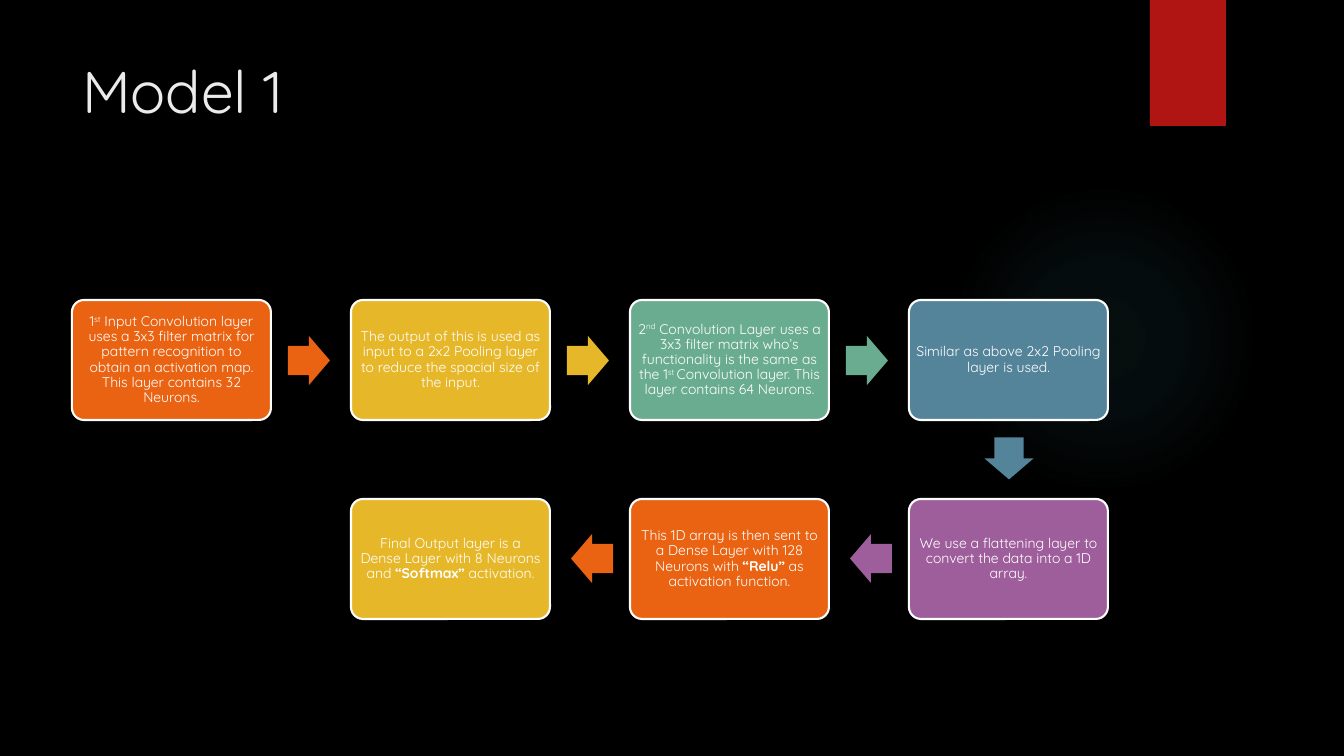
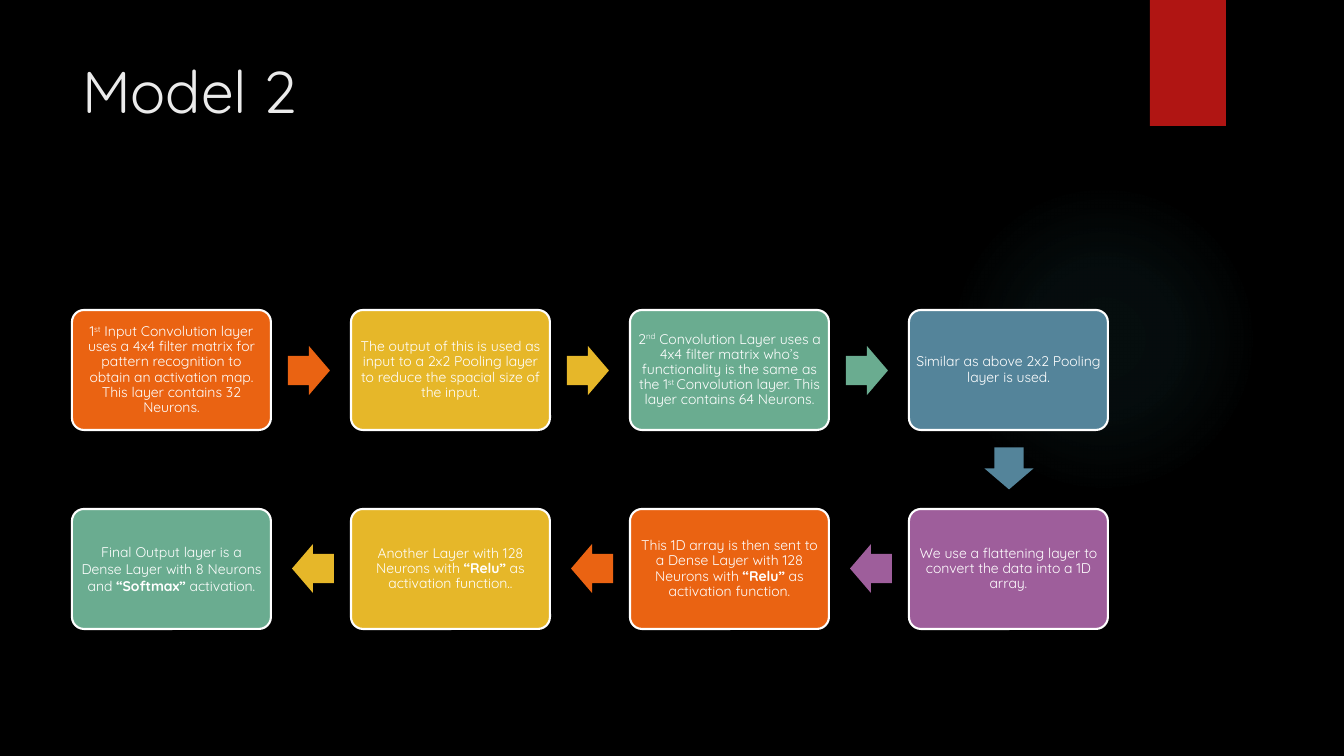
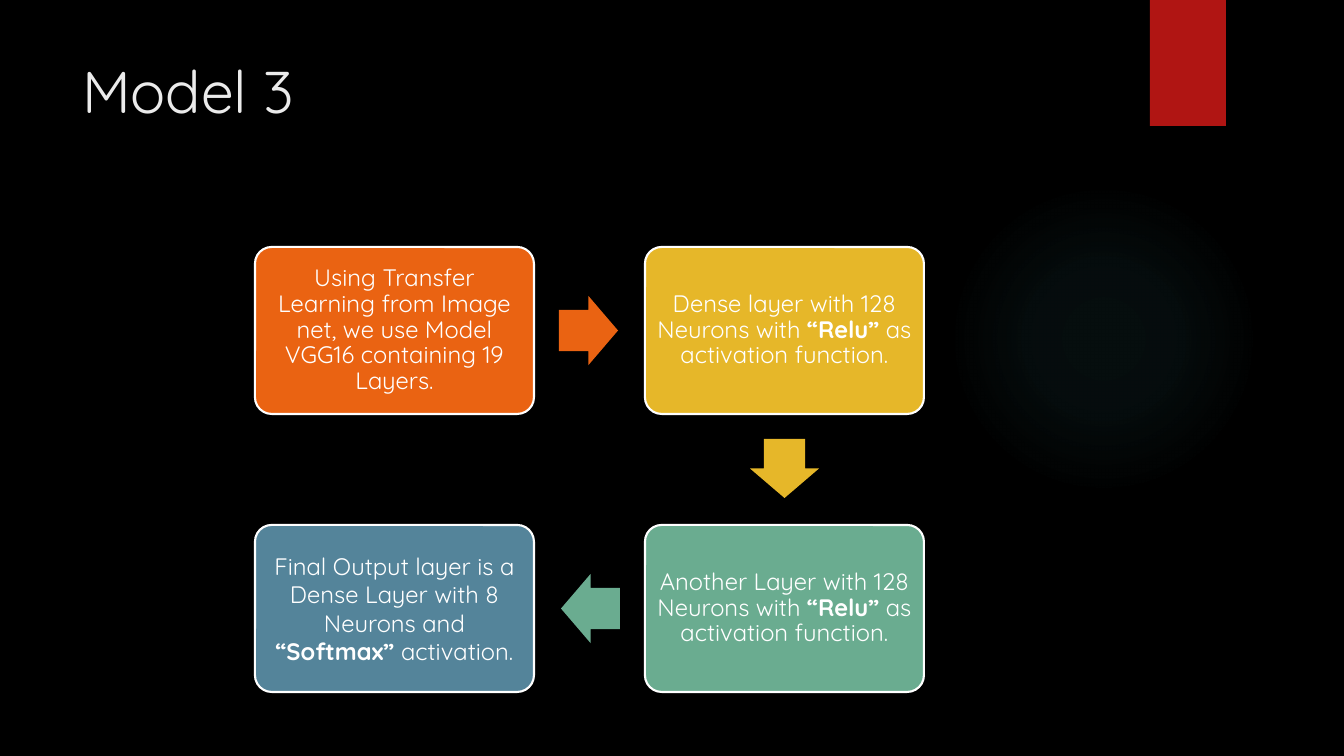
from dataclasses import dataclass
from typing import NamedTuple

from pptx import Presentation
from pptx.dml.color import RGBColor
from pptx.enum.shapes import MSO_SHAPE
from pptx.enum.text import MSO_ANCHOR, PP_ALIGN
from pptx.oxml import parse_xml
from pptx.oxml.ns import nsdecls, qn
from pptx.shapes.autoshape import Shape
from pptx.slide import Slide
from pptx.text.text import Font
from pptx.util import Emu, Pt

ELLIPSE = MSO_SHAPE.OVAL
RECTANGLE = MSO_SHAPE.RECTANGLE
ROUNDED = MSO_SHAPE.ROUNDED_RECTANGLE
ARROW = MSO_SHAPE.RIGHT_ARROW
TOP = MSO_ANCHOR.TOP
MIDDLE = MSO_ANCHOR.MIDDLE
LEFT = PP_ALIGN.LEFT
CENTER = PP_ALIGN.CENTER

SLIDE_WIDTH = 1344
SLIDE_HEIGHT = 756
EMU_PER_PX = 12192000 / SLIDE_WIDTH
TITLE_ONLY = 5


@dataclass(frozen=True)
class Theme:
    font: str = "Quicksand"
    background: str = "000000"
    band: str = "B01513"
    glow: str = "50B9C1"
    title: str = "EBEBEB"
    text: str = "FFFFFF"
    steps: tuple[str, ...] = ("EA6312", "E6B729", "6AAC90", "54849A", "9E5E9B")
    title_size: int = 42
    outline_width: float = 1.5
    glow_stops: tuple[tuple[int, int], ...] = ((0, 7), (36, 6), (69, 0))


THEME = Theme()


class Box(NamedTuple):
    left: int
    top: int
    width: int
    height: int


class Piece(NamedTuple):
    text: str
    bold: bool = False
    raised: bool = False


@dataclass(frozen=True)
class Step:
    pieces: tuple[Piece, ...]
    line_spacing: float = 0.9


@dataclass(frozen=True)
class Grid:
    columns: int
    left: int
    top: int
    width: int
    height: int
    column_pitch: int
    row_pitch: int
    arrow_length: int
    arrow_breadth: int
    arrow_offset: int
    inset: int
    text_size: int

    def cell(self, index: int) -> tuple[int, int]:
        if index < self.columns:
            return index, 0
        return 2 * self.columns - 1 - index, 1

    def box(self, index: int) -> Box:
        column, row = self.cell(index)
        return Box(
            self.left + column * self.column_pitch,
            self.top + row * self.row_pitch,
            self.width,
            self.height,
        )


@dataclass(frozen=True)
class Flow:
    title: str
    grid: Grid
    steps: tuple[Step, ...]


def small_grid(top: int) -> Grid:
    return Grid(
        columns=4, left=72, top=top, width=199, height=120,
        column_pitch=279, row_pitch=199,
        arrow_length=42, arrow_breadth=49, arrow_offset=17,
        inset=4, text_size=10,
    )


LARGE_GRID = Grid(
    columns=2, left=255, top=247, width=279, height=167,
    column_pitch=390, row_pitch=278,
    arrow_length=59, arrow_breadth=69, arrow_offset=25,
    inset=7, text_size=17,
)


def plain(text: str) -> Step:
    return Step((Piece(text),))


def relu(before: str, after: str = " as activation function.") -> Step:
    return Step((Piece(before), Piece("“Relu”", bold=True), Piece(after)))


def softmax(line_spacing: float) -> Step:
    return Step(
        (
            Piece("Final Output layer is a Dense Layer with 8 Neurons and "),
            Piece("“Softmax” ", bold=True),
            Piece("activation."),
        ),
        line_spacing,
    )


def convolution_steps(matrix: str) -> tuple[Step, ...]:
    return (
        Step((
            Piece("1"),
            Piece("st", raised=True),
            Piece(
                f" Input Convolution layer uses a {matrix} filter matrix for pattern "
                "recognition to obtain an activation map. This layer contains 32 Neurons."
            ),
        )),
        plain(
            "The output of this is used as input to a 2x2 Pooling layer "
            "to reduce the spacial size of the input."
        ),
        Step((
            Piece("2"),
            Piece("nd", raised=True),
            Piece(
                f" Convolution Layer uses a {matrix} filter matrix who’s "
                "functionality is the same as the 1"
            ),
            Piece("st ", raised=True),
            Piece("Convolution layer. This layer contains 64 Neurons."),
        )),
        plain("Similar as above 2x2 Pooling layer is used."),
        plain("We use a flattening layer to convert the data into a 1D array."),
        relu("This 1D array is then sent to a Dense Layer with 128 Neurons with "),
    )


ANOTHER_LAYER = "Another Layer with 128 Neurons with "

FLOWS = (
    Flow("Model 1", small_grid(300), (*convolution_steps("3x3"), softmax(0.9))),
    Flow(
        "Model 2",
        small_grid(310),
        (
            *convolution_steps("4x4"),
            relu(ANOTHER_LAYER, " as activation function.."),
            softmax(1.0),
        ),
    ),
    Flow(
        "Model 3",
        LARGE_GRID,
        (
            plain(
                "Using Transfer Learning from Image net, we use Model VGG16 "
                "containing 19 Layers."
            ),
            relu("Dense layer with 128 Neurons with "),
            relu(ANOTHER_LAYER),
            softmax(1.0),
        ),
    ),
)


def px(length: float) -> Emu:
    return Emu(round(length * EMU_PER_PX))


def style_font(font: Font, size: int, color: str) -> None:
    font.name = THEME.font
    font.size = Pt(size)
    font.color.rgb = RGBColor.from_string(color)


def add_solid(slide: Slide, kind: MSO_SHAPE, box: Box, color: str) -> Shape:
    shape = slide.shapes.add_shape(kind, *(px(length) for length in box))
    shape.shadow.inherit = False
    shape.fill.solid()
    shape.fill.fore_color.rgb = RGBColor.from_string(color)
    shape.line.fill.background()
    return shape


def add_glow(slide: Slide) -> None:
    shape = add_solid(slide, ELLIPSE, Box(949, 184, 310, 310), THEME.glow)
    stops = "".join(
        f'<a:gs pos="{position * 1000}"><a:srgbClr val="{THEME.glow}">'
        f'<a:alpha val="{alpha * 1000}"/></a:srgbClr></a:gs>'
        for position, alpha in THEME.glow_stops
    )
    gradient = parse_xml(
        f'<a:gradFill {nsdecls("a")}><a:gsLst>{stops}</a:gsLst><a:path path="circle">'
        '<a:fillToRect l="50000" t="50000" r="50000" b="50000"/></a:path></a:gradFill>'
    )
    properties = shape.element.spPr
    properties.replace(properties.find(qn("a:solidFill")), gradient)


def set_title(slide: Slide, text: str) -> None:
    title = slide.shapes.title
    title.left, title.top, title.width, title.height = map(px, (72, 50, 1037, 154))
    frame = title.text_frame
    frame.text = text
    frame.vertical_anchor = TOP
    paragraph = frame.paragraphs[0]
    paragraph.alignment = LEFT
    style_font(paragraph.runs[0].font, THEME.title_size, THEME.title)


def add_step(slide: Slide, grid: Grid, box: Box, step: Step, color: str) -> None:
    shape = add_solid(slide, ROUNDED, box, color)
    shape.adjustments[0] = 0.1
    shape.line.color.rgb = RGBColor.from_string(THEME.text)
    shape.line.width = Pt(THEME.outline_width)
    frame = shape.text_frame
    frame.word_wrap = True
    frame.vertical_anchor = MIDDLE
    frame.margin_left = frame.margin_right = px(grid.inset)
    frame.margin_top = frame.margin_bottom = px(grid.inset)
    paragraph = frame.paragraphs[0]
    paragraph.alignment = CENTER
    paragraph.line_spacing = step.line_spacing
    for piece in step.pieces:
        run = paragraph.add_run()
        run.text = piece.text
        style_font(run.font, grid.text_size, THEME.text)
        run.font.bold = piece.bold
        if piece.raised:
            run.font._element.set("baseline", "30000") if hasattr(
                run.font, "_element"
            ) else run._r.get_or_add_rPr().set("baseline", "30000")


def add_step_arrow(slide: Slide, grid: Grid, index: int, color: str) -> None:
    column, row = grid.cell(index)
    next_column, next_row = grid.cell(index + 1)
    across, down = next_column - column, next_row - row
    source = grid.box(index)
    reach = grid.arrow_offset + grid.arrow_length / 2
    center_x = source.left + source.width / 2 + across * (source.width / 2 + reach)
    center_y = source.top + source.height / 2 + down * (source.height / 2 + reach)
    box = Box(
        round(center_x - grid.arrow_length / 2),
        round(center_y - grid.arrow_breadth / 2),
        grid.arrow_length,
        grid.arrow_breadth,
    )
    arrow = add_solid(slide, ARROW, box, color)
    arrow.adjustments[0] = 0.6
    arrow.adjustments[1] = 0.5
    arrow.rotation = 90 if down else 90 - 90 * across


def add_flow(slide: Slide, flow: Flow) -> None:
    for index, step in enumerate(flow.steps):
        color = THEME.steps[index % len(THEME.steps)]
        add_step(slide, flow.grid, flow.grid.box(index), step, color)
        if index + 1 < len(flow.steps):
            add_step_arrow(slide, flow.grid, index, color)


def main() -> None:
    presentation = Presentation()
    presentation.slide_width = px(SLIDE_WIDTH)
    presentation.slide_height = px(SLIDE_HEIGHT)
    background = presentation.slide_master.background.fill
    background.solid()
    background.fore_color.rgb = RGBColor.from_string(THEME.background)
    for flow in FLOWS:
        slide = presentation.slides.add_slide(presentation.slide_layouts[TITLE_ONLY])
        add_glow(slide)
        add_solid(slide, RECTANGLE, Box(1150, 0, 76, 126), THEME.band)
        set_title(slide, flow.title)
        add_flow(slide, flow)
    presentation.save("out.pptx")


if __name__ == "__main__":
    main()
